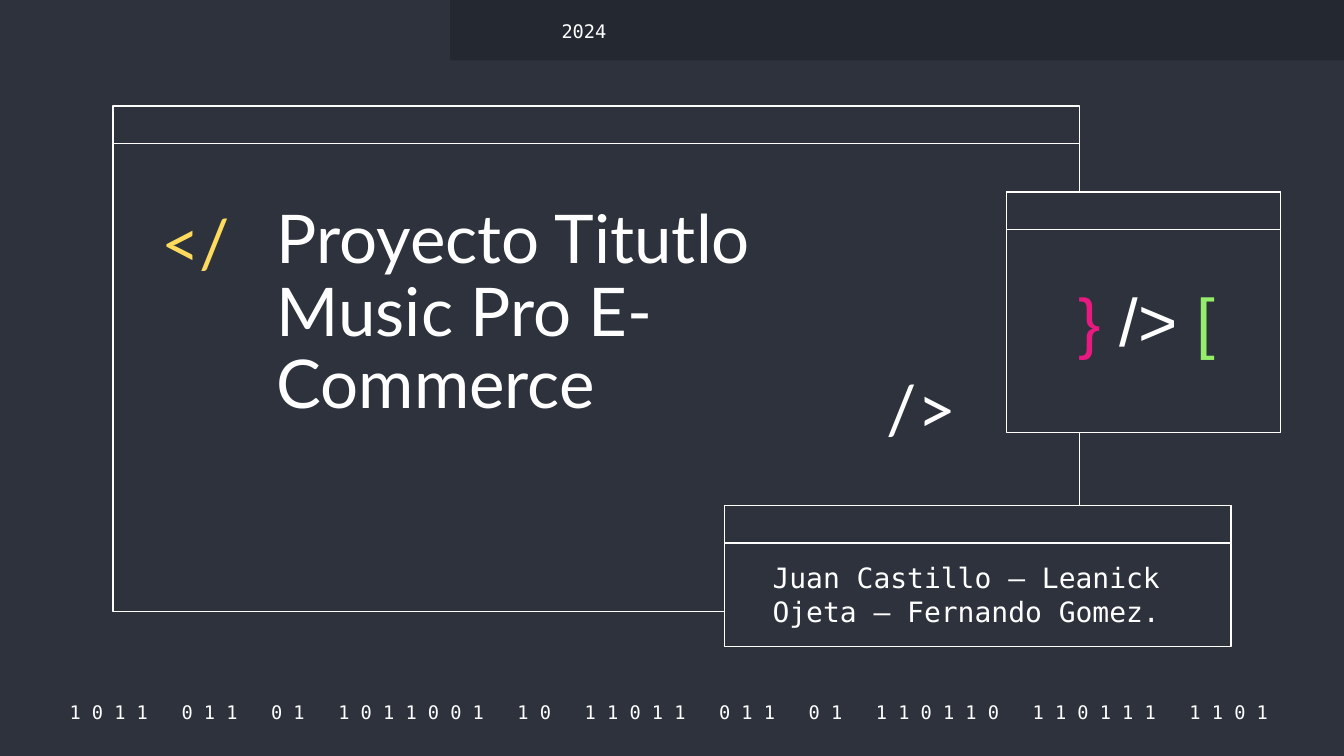
from pptx import Presentation
from pptx.dml.color import RGBColor
from pptx.enum.shapes import MSO_SHAPE
from pptx.enum.text import MSO_ANCHOR, PP_ALIGN
from pptx.util import Inches, Pt

RECTANGLE = MSO_SHAPE.RECTANGLE
TOP, MIDDLE = MSO_ANCHOR.TOP, MSO_ANCHOR.MIDDLE
LEFT, CENTER = PP_ALIGN.LEFT, PP_ALIGN.CENTER

SLATE = RGBColor(0x2D, 0x32, 0x3C)
DARK = RGBColor(0x24, 0x28, 0x30)
WHITE = RGBColor(0xFF, 0xFF, 0xFF)
YELLOW = RGBColor(0xFF, 0xDB, 0x5D)
PINK = RGBColor(0xE8, 0x19, 0x81)
GREEN = RGBColor(0x94, 0xEE, 0x6B)

MONO, LATO, ARIAL = "DejaVu Sans Mono", "Lato", "Arial"
WIDTH = 10
HEIGHT = WIDTH * 9 / 16
TITLE_BAR = 0.28

BINARY = "1011 011 01 1011001 10 11011 011 01 110110 110111 1101"
# Every digit is followed by a space, and groups stand two spaces further apart.
binary_line = "  ".join("".join(f"{digit} " for digit in group) for group in BINARY.split())

HEADER_BAND = (3.35, 0, WIDTH - 3.35, 0.45)
WINDOWS = [  # left, top, width, height
    (0.84, 0.79, 7.19, 3.76),
    (5.39, 3.76, 3.77, 1.05),
    (7.49, 1.43, 2.04, 1.79),
]

# area, spans (text, colour), font, size, alignment, anchor, line spacing
TEXTS = [
    ((0.38, 5.2, 9.27, 0.2), [(binary_line, WHITE)], MONO, 10, CENTER, MIDDLE, 1),
    ((1.1, 1.51, 0.77, 0.66), [("</", YELLOW)], LATO, 36, LEFT, MIDDLE, 0.9),
    ((6.5, 2.74, 0.77, 0.66), [("/>", WHITE)], LATO, 36, LEFT, MIDDLE, 0.9),
    ((7.87, 2.05, 1.33, 0.82), [("}", PINK), (" /> ", WHITE), ("[", GREEN)],
     ARIAL, 36, CENTER, TOP, 0.9),
    ((1.96, 1.43, 4.42, 2.25), [("Proyecto Titutlo Music Pro E-Commerce", WHITE)],
     LATO, 36, LEFT, TOP, 0.9),
    ((5.65, 4.13, 3.33, 0.58),
     [("Juan Castillo – Leanick Ojeta – Fernando Gomez.", WHITE)],
     MONO, 15, LEFT, MIDDLE, 1),
    ((4.08, 0.13, 2.19, 0.2), [("2024", WHITE)], MONO, 10, LEFT, MIDDLE, 1),
]


def add_rectangle(page, area, fill, line=None):
    box = page.shapes.add_shape(RECTANGLE, *map(Inches, area))
    box.shadow.inherit = False
    box.fill.solid()
    box.fill.fore_color.rgb = fill
    if line is None:
        box.line.fill.background()
    else:
        box.line.color.rgb = line
        box.line.width = Pt(0.75)


def add_window(page, left, top, width, height):
    """Draw a framed panel with a title bar along its top edge."""
    for part_height in (height, TITLE_BAR):
        add_rectangle(page, (left, top, width, part_height), SLATE, WHITE)


def add_text(page, area, spans, font, size, alignment, anchor, spacing):
    frame = page.shapes.add_textbox(*map(Inches, area)).text_frame
    frame.word_wrap = True
    frame.vertical_anchor = anchor
    frame.margin_left = frame.margin_right = Inches(0.1)
    frame.margin_top = frame.margin_bottom = Inches(0.1)
    para = frame.paragraphs[0]
    para.alignment = alignment
    para.line_spacing = spacing
    for text, color in spans:
        span = para.add_run()
        span.text = text
        span.font.name = font
        span.font.size = Pt(size)
        span.font.color.rgb = color


def main():
    deck = Presentation()
    deck.slide_width, deck.slide_height = Inches(WIDTH), Inches(HEIGHT)
    page = deck.slides.add_slide(deck.slide_layouts[6])
    page.background.fill.solid()
    page.background.fill.fore_color.rgb = SLATE
    add_rectangle(page, HEADER_BAND, DARK)
    for window in WINDOWS:
        add_window(page, *window)
    for text in TEXTS:
        add_text(page, *text)
    deck.save("out.pptx")


if __name__ == "__main__":
    main()
